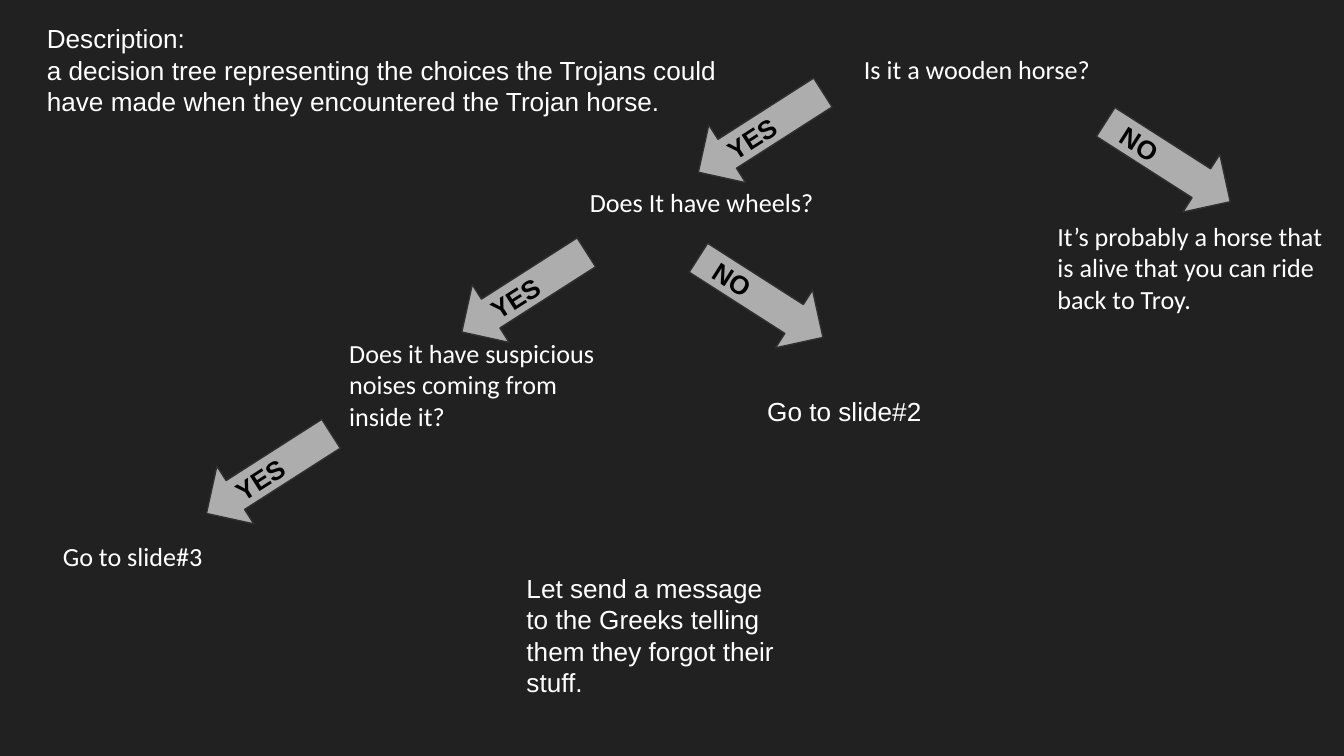
from dataclasses import dataclass

from pptx import Presentation
from pptx import util as u
from pptx.dml.color import RGBColor
from pptx.enum import shapes, text

Pt = u.Pt


@dataclass(frozen=True)
class Theme:
    background: str = "212121"
    text: str = "FFFFFF"
    arrow: str = "ADADAD"
    arrow_line: str = "303030"
    arrow_text: str = "000000"
    size: float = 14
    body_font: str = "Arial"
    tree_font: str = "Calibri"
    inset: float = 7.2
    tilt: float = 32.6


THEME = Theme()
ARROW_SIZE = (79.2, 36.7)


def rgb(value):
    return RGBColor.from_string(value)


def style_text(text_frame, color, font, bold=False):
    for paragraph in text_frame.paragraphs:
        for run in paragraph.runs:
            run.font.name = font
            run.font.size = Pt(THEME.size)
            run.font.bold = bold
            run.font.color.rgb = rgb(color)


def set_insets(text_frame, side, vertical):
    text_frame.margin_left = text_frame.margin_right = Pt(side)
    text_frame.margin_top = text_frame.margin_bottom = Pt(vertical)


def add_label(slide, box, words, font, vertical_inset=THEME.inset, wrap=True):
    shape = slide.shapes.add_textbox(*(Pt(length) for length in box))
    text_frame = shape.text_frame
    text_frame.text = words
    text_frame.word_wrap = wrap
    set_insets(text_frame, THEME.inset, vertical_inset)
    style_text(text_frame, THEME.text, font)
    return text_frame


def add_note(slide, box, words, wrap=True):
    """A free-standing note whose box grows with its words."""
    text_frame = add_label(slide, box, words, THEME.body_font, THEME.inset / 2, wrap)
    text_frame.auto_size = text.MSO_AUTO_SIZE.SHAPE_TO_FIT_TEXT


def add_answer_arrow(slide, left, top, answer):
    """YES slopes down to the left, NO down to the right."""
    yes = answer == "YES"
    kind = shapes.MSO_SHAPE.LEFT_ARROW if yes else shapes.MSO_SHAPE.RIGHT_ARROW
    shape = slide.shapes.add_shape(kind, Pt(left), Pt(top), *(Pt(length) for length in ARROW_SIZE))
    shape.rotation = 360 - THEME.tilt if yes else THEME.tilt
    shape.shadow.inherit = False
    shape.fill.solid()
    shape.fill.fore_color.rgb = rgb(THEME.arrow)
    shape.line.color.rgb = rgb(THEME.arrow_line)
    shape.line.width = Pt(0.75)
    text_frame = shape.text_frame
    text_frame.text = " " + answer
    text_frame.vertical_anchor = text.MSO_ANCHOR.MIDDLE
    text_frame.paragraphs[0].alignment = text.PP_ALIGN.LEFT
    set_insets(text_frame, THEME.inset, THEME.inset)
    style_text(text_frame, THEME.arrow_text, THEME.body_font, bold=True)


def add_decision_tree(slide, left, top):
    # Questions
    questions = [
        (391.6, 0.7, 211.7, 35.3, "Is it a wooden horse?"),
        (282.9, 72, 148.3, 53.3, "Does It have wheels?"),
        (154, 155.5, 160.6, 53.3, "Does it have suspicious noises coming from inside it?"),
    ]
    # Outcomes
    outcomes = [
        (0.6, 264.2, 160.6, 69.8, "Go to slide#3"),
        (533.4, 92.9, 160.6, 69.8,
         "It’s probably a horse that is alive that you can ride back to Troy."),
    ]
    frames = [
        add_label(slide, (left + x, top + y, width, height), words, THEME.tree_font)
        for x, y, width, height, words in questions + outcomes
    ]
    for text_frame in frames[:2]:
        text_frame.paragraphs[0].line_spacing = 1.15
    frames[0].paragraphs[0].alignment = text.PP_ALIGN.CENTER
    add_label(slide, (left + 377.9, top + 186.5, 172.8, 52.6), "Go to slide#2", THEME.body_font)

    # Answers
    answers = [
        (341.9, 34.6, "YES"), (215.2, 120.2, "YES"), (78.4, 217.4, "YES"),
        (341.9, 123.1, "NO"), (560.1, 50.4, "NO"),
    ]
    for x, y, answer in answers:
        add_answer_arrow(slide, left + x, top + y, answer)


def main():
    presentation = Presentation()
    presentation.slide_width = Pt(720)
    presentation.slide_height = Pt(405)
    slide = presentation.slides.add_slide(presentation.slide_layouts[6])
    slide.background.fill.solid()
    slide.background.fill.fore_color.rgb = rgb(THEME.background)

    add_decision_tree(slide, 26, 18)
    add_note(slide, (275, 303.1, 156.2, 74.9),
             "Let send a message to the Greeks telling them they forgot their stuff.")
    add_note(slide, (18, 8.6, 379.4, 74.9),
             "Description:\n"
             "a decision tree representing the choices the Trojans could\n"
             "have made when they encountered the Trojan horse.", wrap=False)
    presentation.save("out.pptx")


if __name__ == "__main__":
    main()
